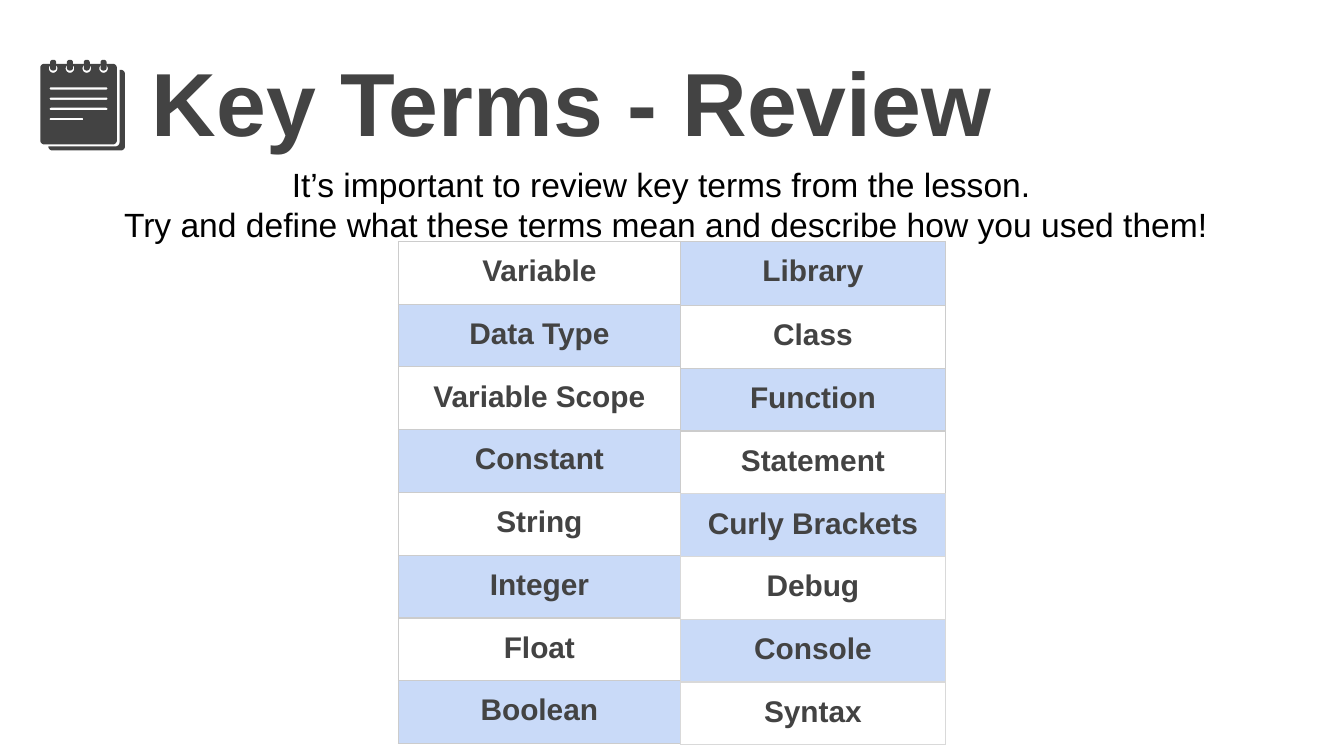
from dataclasses import dataclass
from math import cos, radians, sin

from lxml.etree import SubElement
from pptx import Presentation
from pptx.dml.color import RGBColor
from pptx.enum.text import PP_ALIGN
from pptx.oxml.ns import qn
from pptx.util import Inches, Pt

# The page is a grid of small square cells, 1000 columns wide, in 16:9.
COLUMNS = 1000
ROWS = COLUMNS * 9 / 16
CELL = Inches(10) // COLUMNS
FONT = "Arial"
DARK, BLACK, WHITE, BLUE = "434343", "000000", "FFFFFF", "C9DAF8"
MID_GREY, LIGHT_GREY = "CCCCCC", "D9D9D9"

Point = tuple[float, float]


@dataclass(frozen=True)
class Frame:
    column: float
    row: float
    width: float
    height: float

    def lengths(self) -> tuple[int, int, int, int]:
        return tuple(cells(n) for n in (self.column, self.row, self.width, self.height))


@dataclass(frozen=True)
class TextStyle:
    size: float
    colour: str
    bold: bool = False
    align: PP_ALIGN = PP_ALIGN.CENTER


@dataclass(frozen=True)
class Term:
    name: str
    fill: str
    border: str


@dataclass(frozen=True)
class TermColumn:
    frame: Frame
    first_row: float
    terms: list[Term]


TITLE = TextStyle(48, DARK, True, PP_ALIGN.LEFT)
INTRO = TextStyle(18, BLACK)
TERM = TextStyle(16, DARK, True)


def cells(count: float) -> int:
    return round(count * CELL)


def colour(code: str) -> RGBColor:
    return RGBColor.from_string(code)


def write(text_frame, lines: list[str], style: TextStyle) -> None:
    for index, line in enumerate(lines):
        para = text_frame.add_paragraph() if index else text_frame.paragraphs[0]
        para.alignment = style.align
        span = para.add_run()
        span.text = line
        span.font.name = FONT
        span.font.size = Pt(style.size)
        span.font.bold = style.bold
        span.font.color.rgb = colour(style.colour)


def set_margins(holder) -> None:
    holder.margin_left = holder.margin_right = cells(10)
    holder.margin_top = holder.margin_bottom = cells(10)


def add_text(page, frame: Frame, lines: list[str], style: TextStyle) -> None:
    box = page.shapes.add_textbox(*frame.lengths())
    box.text_frame.word_wrap = True
    set_margins(box.text_frame)
    write(box.text_frame, lines, style)


def arc(column: float, row: float, radius: float, start: int, end: int) -> list[Point]:
    """Points around a centre; angles run clockwise from the right."""
    steps = 6
    angles = [radians(start + (end - start) * step / steps) for step in range(steps + 1)]
    return [(column + radius * cos(a), row + radius * sin(a)) for a in angles]


def rounded(frame: Frame, radius: float) -> list[Point]:
    left, top = frame.column + radius, frame.row + radius
    right = frame.column + frame.width - radius
    bottom = frame.row + frame.height - radius
    return (arc(left, top, radius, 180, 270) + arc(right, top, radius, 270, 360)
            + arc(right, bottom, radius, 0, 90) + arc(left, bottom, radius, 90, 180))


def add_outline(group, contours: list[list[Point]]) -> None:
    """Draw one filled shape; contours inside the first one are holes."""
    paths = [[(cells(x), cells(y)) for x, y in contour] for contour in contours]
    builder = group.shapes.build_freeform(*paths[0][0], scale=1.0)
    builder.add_line_segments(paths[0][1:], close=True)
    for path in paths[1:]:
        builder.move_to(*path[0])
        builder.add_line_segments(path[1:], close=True)
    shape = builder.convert_to_shape()
    shape.shadow.inherit = False
    shape.fill.solid()
    shape.fill.fore_color.rgb = colour(DARK)
    shape.line.fill.background()


def add_notepad(page) -> None:
    group = page.shapes.add_group_shape()
    back_sheet = ([(89, 52)] + arc(86, 106, 3, 0, 90) + arc(39, 109, 3, 180, 90)
                  + arc(90, 109, 3, 90, 0) + arc(90, 55, 3, 0, -90))
    add_outline(group, [back_sheet])

    ring_centres = [39.6 + 12.5 * index for index in range(4)]
    for centre in ring_centres:
        add_outline(group, [rounded(Frame(centre - 2.25, 44.5, 4.5, 8), 2)])

    holes = [rounded(Frame(centre - 3.2, 47.8, 6.4, 6.4), 3.2) for centre in ring_centres]
    rules = [rounded(Frame(37, 65 + 7.6 * index, width, 1.7), 0.8)
             for index, width in enumerate((43, 43, 43, 25))]
    add_outline(group, [rounded(Frame(30, 47.5, 57, 60), 3)] + holes + rules)


def set_border(cell, code: str) -> None:
    properties = cell._tc.get_or_add_tcPr()
    for index, side in enumerate(("lnL", "lnR", "lnT", "lnB")):
        line = SubElement(properties, qn(f"a:{side}"), w=str(Pt(0.75)))
        fill = SubElement(line, qn("a:solidFill"))
        SubElement(fill, qn("a:srgbClr"), val=code)
        properties.insert(index, line)


def add_terms(page, column: TermColumn) -> None:
    count = len(column.terms)
    table = page.shapes.add_table(count, 1, *column.frame.lengths()).table
    table.first_row = table.horz_banding = False
    other_row = (column.frame.height - column.first_row) / (count - 1)
    for index, term in enumerate(column.terms):
        table.rows[index].height = cells(other_row if index else column.first_row)
        cell = table.cell(index, 0)
        set_margins(cell)
        set_border(cell, term.border)
        cell.fill.solid()
        cell.fill.fore_color.rgb = colour(term.fill)
        write(cell.text_frame, [term.name], TERM)


LEFT_NAMES = ["Variable", "Data Type", "Variable Scope", "Constant",
              "String", "Integer", "Float", "Boolean"]
RIGHT_NAMES = ["Library", "Class", "Function", "Statement",
               "Curly Brackets", "Debug", "Console", "Syntax"]
TERM_COLUMNS = [
    TermColumn(Frame(296.4, 179.6, 209.9, 373), 46.6,
               [Term(name, (WHITE, BLUE)[index % 2], MID_GREY)
                for index, name in enumerate(LEFT_NAMES)]),
    TermColumn(Frame(506.3, 179.6, 197.2, 374.6), 47.7,
               [Term(name, (BLUE, WHITE)[index % 2], MID_GREY if index < 4 else LIGHT_GREY)
                for index, name in enumerate(RIGHT_NAMES)]),
]


def main() -> None:
    deck = Presentation()
    deck.slide_width, deck.slide_height = cells(COLUMNS), cells(ROWS)
    page = deck.slides.add_slide(deck.slide_layouts[6])
    page.background.fill.solid()
    page.background.fill.fore_color.rgb = colour(WHITE)

    add_text(page, Frame(103, 25, 862, 87), ["Key Terms - Review"], TITLE)
    add_notepad(page)
    add_text(page, Frame(30, 112, 931, 67), [
        "It’s important to review key terms from the lesson. ",
        "Try and define what these terms mean and describe how you used them!",
    ], INTRO)
    for column in TERM_COLUMNS:
        add_terms(page, column)
    deck.save("out.pptx")


if __name__ == "__main__":
    main()
